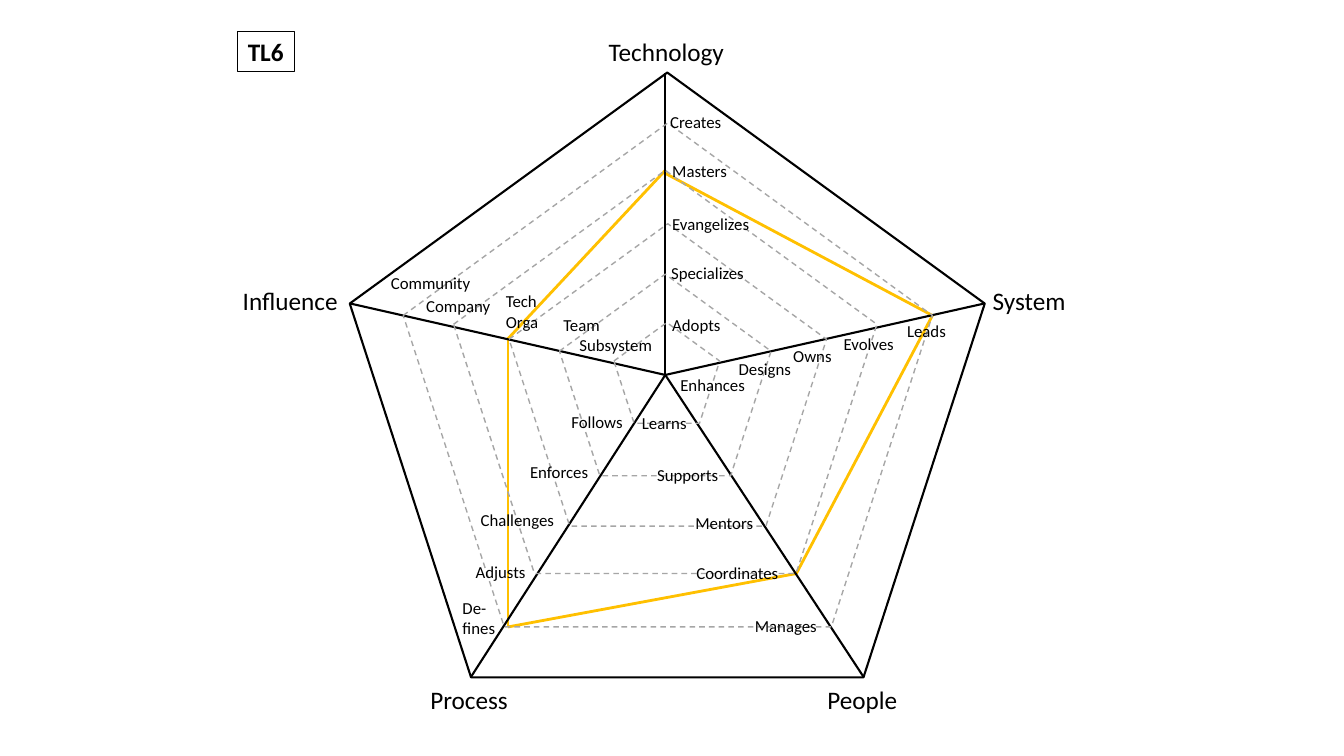
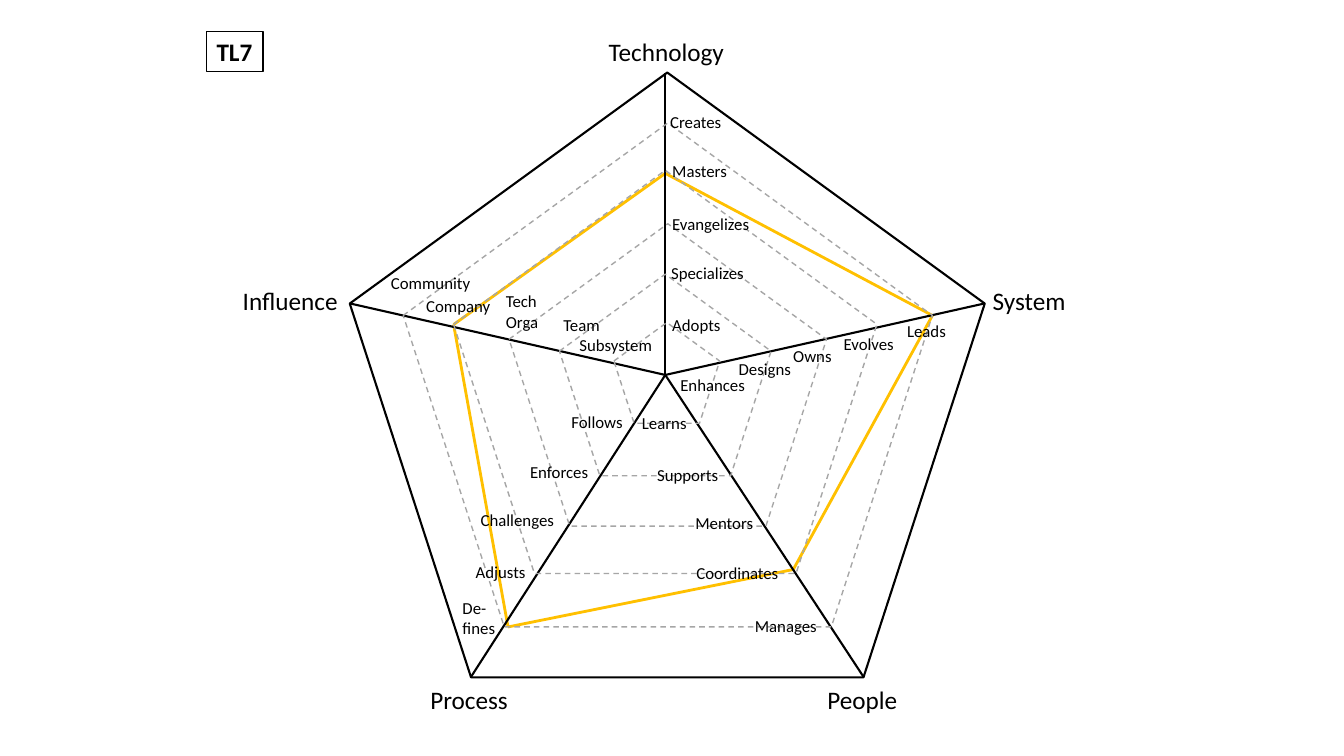
"""Two skill radars on one shared five-axis model."""
from dataclasses import dataclass
from itertools import pairwise
from typing import Any

from lxml import etree
from pptx import Presentation
from pptx import util as u
from pptx.dml.color import RGBColor
from pptx.enum import dml, shapes, text
from pptx.oxml import ns

COLORS = {"ink": "000000", "ring": "A6A6A6", "score": "FFC000"}
FONT = "Calibri"
COLUMNS, ROWS = 133.33, 75  # square grid cells, a tenth of an inch each
CELL = u.Inches(0.1)
LABEL_SIZE, TITLE_SIZE = 12, 18
RING_ASPECT = 1.05
RING_STEP = 10

Point = tuple[float, float]


@dataclass(frozen=True)
class Label:
    """Words with the column, row and width of their box."""
    words: str
    column: float
    row: float
    width: float


@dataclass(frozen=True)
class Ring:
    """One pentagon: its level and top left corner."""
    level: int
    column: float
    row: float
    color: str = "ring"
    weight: float = 1


@dataclass(frozen=True)
class Radar:
    """One slide: role tag and the path of its scores."""
    tag: Label
    scores: tuple[Point, ...]


HUB = (66, 37.2)
SPOKE_ENDS = ((66, 7.2), (46.7, 67.2), (85.7, 67.2), (34.7, 30.1), (97.7, 30.1))
OUTLINE = Ring(6, 34.7, 7.2, "ink", 1.5)
RINGS = (
    Ring(5, 40, 12.2),
    Ring(4, 45, 16.9),
    Ring(3, 50.5, 22.2),
    Ring(2, 55.5, 27.2),
    Ring(1, 60.9, 32),
)
AXIS_TITLES = (
    Label("Technology", 59.4, 3.1, 13.6),
    Label("System", 97.5, 27.8, 9.3),
    Label("People", 81.1, 67.4, 9),
    Label("Process", 41.7, 67.4, 9.8),
    Label("Influence", 23.1, 27.8, 11.6),
)
LEVEL_LABELS = (
    # Technology
    Label("Adopts", 65.7, 30.7, 6.9),
    Label("Specializes", 65.6, 25.6, 9.3),
    Label("Evangelizes", 65.7, 20.7, 9.7),
    Label("Masters", 65.7, 15.5, 7.5),
    Label("Creates", 65.5, 10.6, 7.2),
    # System
    Label("Enhances", 66.5, 36.7, 8.5),
    Label("Designs", 72.3, 35.1, 7.3),
    Label("Owns", 77.7, 33.8, 5.9),
    Label("Evolves", 82.7, 32.6, 7.1),
    Label("Leads", 89, 31.3, 5.9),
    # People
    Label("Learns", 62.7, 40.5, 6.5),
    Label("Supports", 64.2, 45.6, 8.1),
    Label("Mentors", 68, 50.4, 7.8),
    Label("Coordinates", 68.1, 55.3, 10.2),
    Label("Manages", 73.9, 60.6, 8.2),
    # Process
    Label("Follows", 55.7, 40.4, 7.2),
    Label("Enforces", 51.6, 45.3, 7.9),
    Label("Challenges", 46.7, 50.1, 9.4),
    Label("Adjusts", 46.2, 55.2, 7),
    Label("De-\nfines", 44.9, 58.8, 5.3),
    # Influence
    Label("Subsystem", 56.5, 32.7, 9.3),
    Label("Team", 54.9, 30.7, 5.7),
    Label("Tech\nOrga", 49.2, 28.4, 5.5),
    Label("Company", 41.3, 28.8, 8.4),
    Label("Community", 37.8, 26.6, 10),
)
RADARS = (
    Radar(Label("TL6", 23.6, 3.1, 5.6),
          ((66, 17.2), (92.5, 31.3), (79, 56.9), (50.4, 62.2), (50.4, 33.6), (66, 16.9))),
    Radar(Label("TL7", 20.5, 3.1, 5.6),
          ((66, 17.2), (92.5, 31.3), (78.7, 56.5), (50.4, 62.2), (45, 32.2), (66, 17.2))),
)


def cells(*counts: float) -> list[int]:
    """Turn grid counts into lengths."""
    return [round(count * CELL) for count in counts]


def style_line(line: Any, color: str, weight: float) -> None:
    """Set the colour and weight of a line."""
    line.color.rgb = RGBColor.from_string(COLORS[color])
    line.width = u.Pt(weight)


def draw_line(canvas: Any, start: Point, end: Point, color: str, weight: float) -> None:
    """Join two grid points with a straight line."""
    line = canvas.add_connector(shapes.MSO_CONNECTOR.STRAIGHT, *cells(*start, *end))
    style_line(line.line, color, weight)
    etree.SubElement(line._element.spPr, ns.qn("a:effectLst"))


def draw_ring(canvas: Any, ring: Ring) -> None:
    """Draw an unfilled pentagon, dashed unless it is the outline."""
    height = ring.level * RING_STEP
    pentagon = canvas.add_shape(
        shapes.MSO_SHAPE.REGULAR_PENTAGON,
        *cells(ring.column, ring.row, height * RING_ASPECT, height))
    pentagon.shadow.inherit = False
    pentagon.fill.background()
    style_line(pentagon.line, ring.color, ring.weight)
    if ring is not OUTLINE:
        pentagon.line.dash_style = dml.MSO_LINE.DASH


def write(box: Any, words: str, size: int, bold: bool = False) -> None:
    """Fill a box with unwrapped text, one paragraph a line."""
    frame = box.text_frame
    frame.text = words
    frame.word_wrap = False
    frame.auto_size = text.MSO_AUTO_SIZE.SHAPE_TO_FIT_TEXT
    for para in frame.paragraphs:
        para.alignment = text.PP_ALIGN.LEFT
        para.font.name = FONT
        para.font.size = u.Pt(size)
        para.font.bold = bold
        para.font.color.rgb = RGBColor.from_string(COLORS["ink"])


def draw_label(canvas: Any, label: Label, size: int) -> None:
    """Place a label, its height following from size and line count."""
    height = 1 + size / 6 * (1 + label.words.count("\n"))
    box = canvas.add_textbox(*cells(label.column, label.row, label.width, height))
    write(box, label.words, size)


def draw_tag(canvas: Any, tag: Label) -> None:
    """Draw the framed role tag."""
    box = canvas.add_shape(shapes.MSO_SHAPE.RECTANGLE,
                           *cells(tag.column, tag.row, tag.width, 4))
    box.shadow.inherit = False
    box.fill.background()
    style_line(box.line, "ink", 0.75)
    write(box, tag.words, TITLE_SIZE, bold=True)


def draw_model(canvas: Any) -> None:
    """Draw the axes, rings and labels that every radar shares."""
    draw_ring(canvas, OUTLINE)
    for end in SPOKE_ENDS:
        draw_line(canvas, HUB, end, "ink", 1.5)
    for ring in RINGS:
        draw_ring(canvas, ring)
    for label in LEVEL_LABELS:
        draw_label(canvas, label, LABEL_SIZE)
    for title in AXIS_TITLES:
        draw_label(canvas, title, TITLE_SIZE)


def draw_radar(page: Any, radar: Radar) -> None:
    """Draw one slide: tag, scores and the model above them."""
    draw_tag(page.shapes, radar.tag)
    scores = page.shapes.add_group_shape().shapes
    for start, end in pairwise(radar.scores):
        draw_line(scores, start, end, "score", 2)
    draw_model(page.shapes.add_group_shape().shapes)


deck = Presentation()
deck.slide_width, deck.slide_height = cells(COLUMNS, ROWS)
blank = deck.slide_layouts[6]
for radar in RADARS:
    draw_radar(deck.slides.add_slide(blank), radar)
deck.save("out.pptx")
